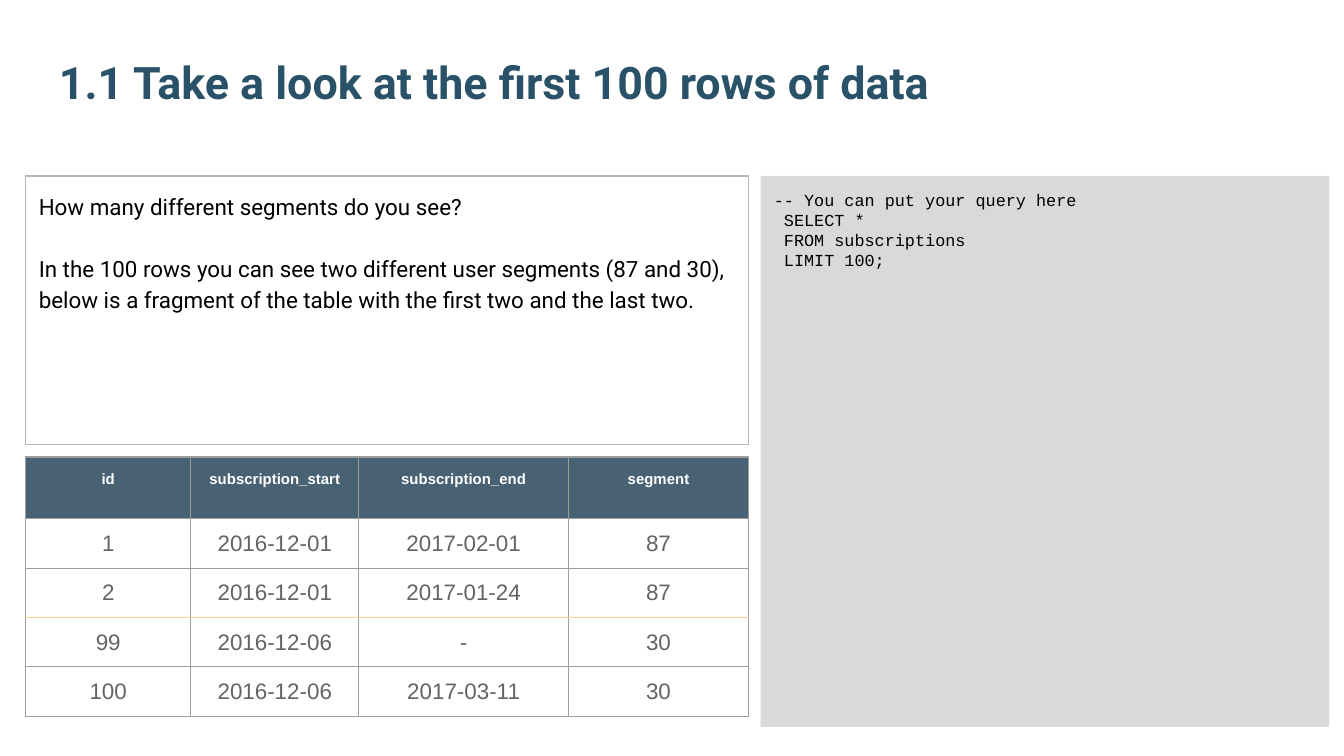
"""Build the slide on the first 100 rows of subscription data."""
from lxml import etree
from pptx import Presentation, util as u
from pptx.dml.color import RGBColor
from pptx.enum import shapes, text
from pptx.oxml.ns import qn

TITLE = "1.1 Take a look at the first 100 rows of data"
ANSWER = [
    "How many different segments do you see?",
    "In the 100 rows you can see two different user segments (87 and 30), "
    "below is a fragment of the table with the first two and the last two.",
]
QUERY = ["-- You can put your query here", " SELECT *", " FROM subscriptions", " LIMIT 100;"]
ROWS = [
    ("id", "subscription_start", "subscription_end", "segment"),
    ("1", "2016-12-01", "2017-02-01", "87"),
    ("2", "2016-12-01", "2017-01-24", "87"),
    ("99", "2016-12-06", "-", "30"),
    ("100", "2016-12-06", "2017-03-11", "30"),
]
SLIDE_WIDTH, SLIDE_HEIGHT = 10, 10 * 9 / 16
COLUMN_WIDTHS = [1.23, 1.25, 1.56, 1.34]
TABLE_HEIGHT, HEADER_HEIGHT = 1.93, 0.46
ROW_HEIGHT = (TABLE_HEIGHT - HEADER_HEIGHT) / (len(ROWS) - 1)
LAST_OF_FIRST_ROWS = 2
LEFT, TOP, GAP = 0.19, 1.31, 0.09
LEFT_WIDTH, ANSWER_HEIGHT = sum(COLUMN_WIDTHS), 2
GRID, DIVIDER = ("9E9E9E", 0.75), ("FFCD8C", 1)


def color(value):
    return RGBColor.from_string(value)


def write(holder, lines, *, size, font, ink, bold=False, align=text.PP_ALIGN.LEFT,
          anchor=text.MSO_ANCHOR.TOP, inset=0.1, spacing=None, gap=0):
    frame = holder.text_frame
    frame.word_wrap = True
    box = holder if hasattr(holder, "vertical_anchor") else frame
    box.vertical_anchor = anchor
    box.margin_left = box.margin_right = u.Inches(0.1)
    box.margin_top = box.margin_bottom = u.Inches(inset)
    for index, line in enumerate(lines):
        paragraph = frame.add_paragraph() if index else frame.paragraphs[0]
        paragraph.alignment = align
        if spacing:
            paragraph.line_spacing = spacing
        if index and gap:
            paragraph.space_before = u.Pt(gap)
        run = paragraph.add_run()
        run.text = line
        run.font.size, run.font.name, run.font.bold = u.Pt(size), font, bold
        run.font.color.rgb = color(ink)


def add_panel(slide, box, fill=None, line=None):
    shape = slide.shapes.add_shape(shapes.MSO_SHAPE.RECTANGLE, *map(u.Inches, box))
    shape.shadow.inherit = False
    for part, value in ((shape.fill, fill), (shape.line.fill, line)):
        if value:
            part.solid()
            part.fore_color.rgb = color(value)
        else:
            part.background()
    if line:
        shape.line.width = u.Pt(0.75)
    return shape


def set_borders(cell, **sides):
    properties = cell._tc.get_or_add_tcPr()
    for index, side in enumerate("LRTB"):
        value, width = sides.get(side, GRID)
        border = etree.Element(qn(f"a:ln{side}"), w=str(u.Pt(width)))
        fill = etree.SubElement(border, qn("a:solidFill"))
        etree.SubElement(fill, qn("a:srgbClr"), val=value)
        properties.insert(index, border)


def fill_header(cell):
    cell.fill.solid()
    cell.fill.fore_color.rgb = color("204056")
    fill = cell._tc.tcPr.find(qn("a:solidFill"))
    etree.SubElement(fill[0], qn("a:alpha"), val="82000")


def add_data_table(slide, top):
    table = slide.shapes.add_table(
        len(ROWS), len(COLUMN_WIDTHS), u.Inches(LEFT), u.Inches(top),
        u.Inches(LEFT_WIDTH), u.Inches(TABLE_HEIGHT)).table
    table.first_row = table.horz_banding = False
    for column, width in zip(table.columns, COLUMN_WIDTHS):
        column.width = u.Inches(width)
    header = dict(size=8, ink="FFFFFF", bold=True)
    body = dict(size=12, ink="646466", anchor=text.MSO_ANCHOR.MIDDLE, inset=0.05)
    for number, (row, values) in enumerate(zip(table.rows, ROWS)):
        row.height = u.Inches(ROW_HEIGHT if number else HEADER_HEIGHT)
        borders = dict(T=DIVIDER if number == LAST_OF_FIRST_ROWS + 1 else GRID,
                       B=DIVIDER if number == LAST_OF_FIRST_ROWS else GRID)
        for cell, value in zip(row.cells, values):
            write(cell, [value], font="Arial", align=text.PP_ALIGN.CENTER,
                  **(body if number else header))
            if number:
                cell.fill.background()
            else:
                fill_header(cell)
            set_borders(cell, **borders)


def main():
    presentation = Presentation()
    presentation.slide_width = u.Inches(SLIDE_WIDTH)
    presentation.slide_height = u.Inches(SLIDE_HEIGHT)
    slide = presentation.slides.add_slide(presentation.slide_layouts[6])

    title = slide.shapes.add_textbox(*map(u.Inches, (0.34, -0.01, 9.32, 0.92)))
    write(title, [TITLE], size=24, font="Roboto", ink="295269", bold=True,
          anchor=text.MSO_ANCHOR.BOTTOM)

    query = add_panel(slide, (LEFT + LEFT_WIDTH + GAP, TOP, 4.23, 4.1), fill="D9D9D9")
    write(query, QUERY, size=9, font="Courier New", ink="000000")

    answer = add_panel(slide, (LEFT, TOP, LEFT_WIDTH, ANSWER_HEIGHT), line="B7B7B7")
    write(answer, ANSWER, size=12, font="Roboto", ink="000000", spacing=1.15, gap=16.5)

    add_data_table(slide, TOP + ANSWER_HEIGHT + GAP)
    presentation.save("out.pptx")


if __name__ == "__main__":
    main()
